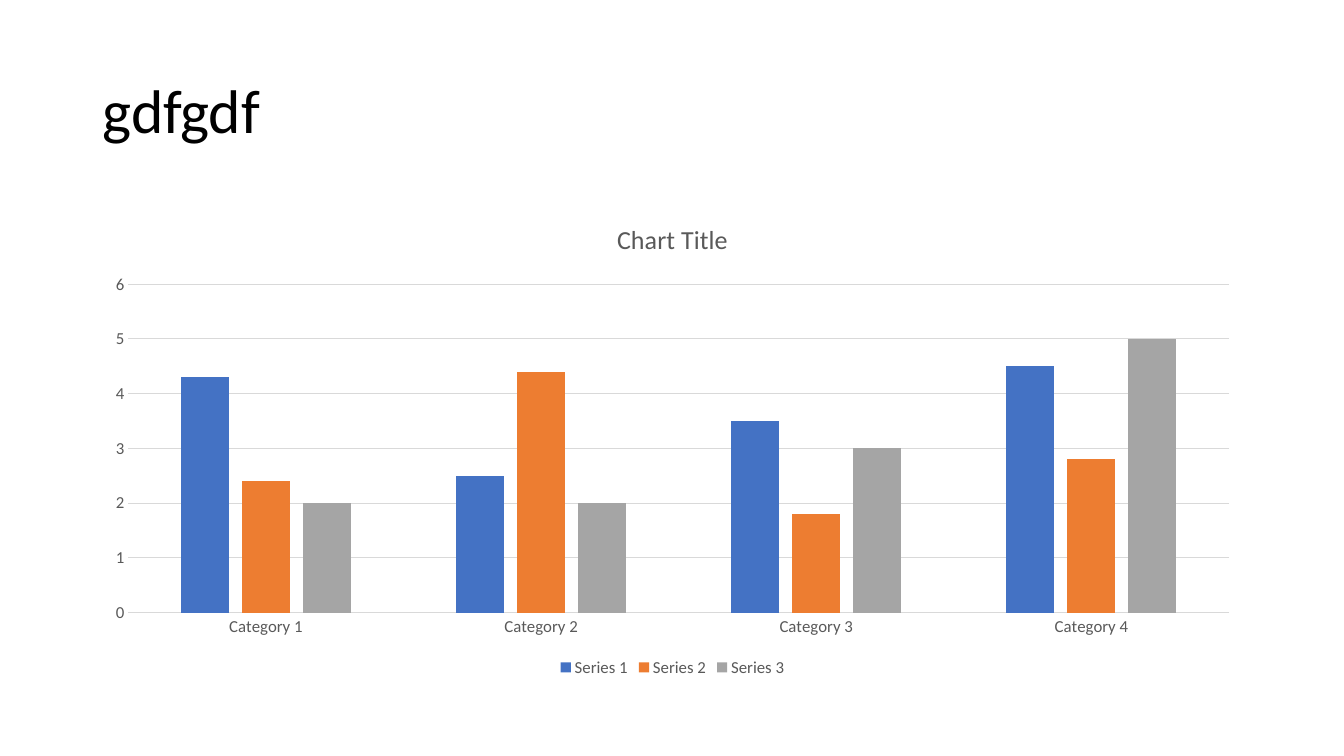
"""Build a slide with a heading and a clustered column chart."""
import pptx
import pptx.chart.data
import pptx.dml.color
import pptx.enum.chart
import pptx.enum.text
import pptx.util
from dataclasses import dataclass

Inches, Pt = pptx.util.Inches, pptx.util.Pt
Color = pptx.dml.color.RGBColor.from_string
enum = pptx.enum.chart


@dataclass
class Theme:
    face: str = "Calibri"
    ink: str = "000000"
    gray: str = "595959"
    rule: str = "D9D9D9"
    bars: tuple = ("4472C4", "ED7D31", "A5A5A5")
    head: float = 44
    title: float = 18.6
    label: float = 12


theme = Theme()


def style(font, size, color):
    font.name, font.size, font.bold = theme.face, Pt(size), False
    font.color.rgb = Color(color)


def rule(line):
    line.color.rgb = Color(theme.rule)
    line.width = Pt(0.75)


deck = pptx.Presentation()
deck.slide_width, deck.slide_height = Inches(13.33), Inches(7.5)
slide = deck.slides.add_slide(deck.slide_layouts[6])
left, width = Inches(0.92), Inches(11.5)

head = slide.shapes.add_textbox(left, Inches(0.4), width, Inches(1.45)).text_frame
head.word_wrap = True
head.vertical_anchor = pptx.enum.text.MSO_ANCHOR.MIDDLE
line = head.paragraphs[0]
line.line_spacing = 0.9
run = line.add_run()
run.text = "gdfgdf"
style(run.font, theme.head, theme.ink)

data = pptx.chart.data.CategoryChartData()
data.categories = [f"Category {n}" for n in range(1, 5)]
rows = [(4.3, 2.5, 3.5, 4.5), (2.4, 4.4, 1.8, 2.8), (2, 2, 3, 5)]
for n, row in enumerate(rows, 1):
    data.add_series(f"Series {n}", row)

chart = slide.shapes.add_chart(
    enum.XL_CHART_TYPE.COLUMN_CLUSTERED, left, Inches(2), width, Inches(4.76), data
).chart
style(chart.font, theme.label, theme.gray)

run = chart.chart_title.text_frame.paragraphs[0].add_run()
run.text = "Chart Title"
style(run.font, theme.title, theme.gray)
chart.chart_title.include_in_layout = False

chart.has_legend = True
chart.legend.position = enum.XL_LEGEND_POSITION.BOTTOM
chart.legend.include_in_layout = False
style(chart.legend.font, theme.label, theme.gray)

plot = chart.plots[0]
plot.gap_width, plot.overlap = 219, -27
plot.vary_by_categories = False
for bar, color in zip(plot.series, theme.bars):
    bar.format.fill.solid()
    bar.format.fill.fore_color.rgb = Color(color)
    bar.invert_if_negative = False

for axis in (chart.category_axis, chart.value_axis):
    axis.major_tick_mark = axis.minor_tick_mark = enum.XL_TICK_MARK.NONE
    style(axis.tick_labels.font, theme.label, theme.gray)
rule(chart.category_axis.format.line)
rule(chart.value_axis.major_gridlines.format.line)
chart.value_axis.format.line.fill.background()
chart.value_axis.minimum_scale = 0
chart.value_axis.maximum_scale = 6
chart.value_axis.major_unit = 1

deck.save("out.pptx")
